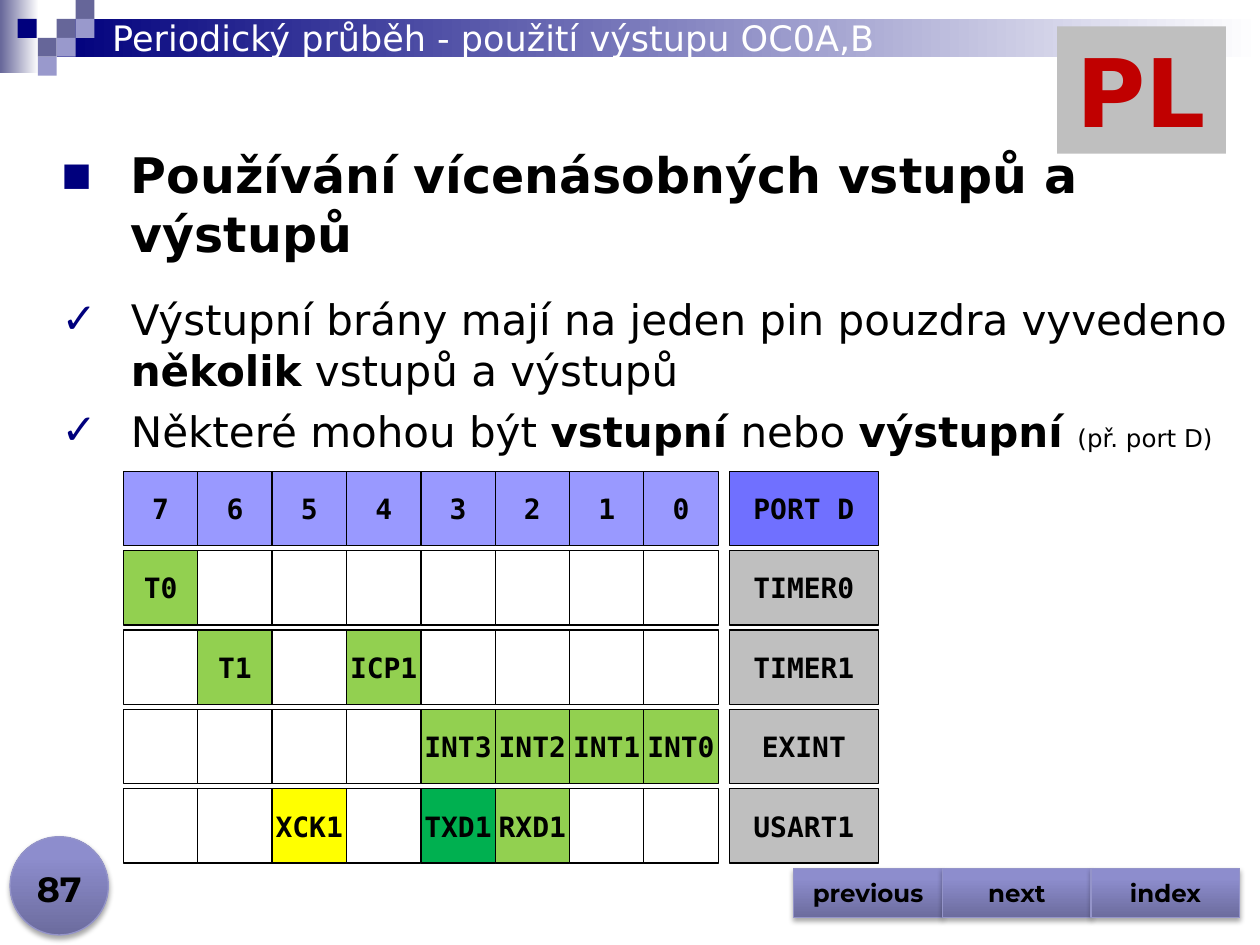
from pptx import Presentation
from pptx.dml.color import RGBColor
from pptx.enum.shapes import MSO_SHAPE
from pptx.enum.text import MSO_ANCHOR, MSO_AUTO_SIZE, PP_ALIGN
from pptx.oxml import parse_xml
from pptx.oxml.ns import nsdecls, qn
from pptx.util import Inches, Pt

SANS, MONO, ROUND = "DejaVu Sans", "DejaVu Sans Mono", "Montserrat"
NAVY, SLATE, LILAC = "00007D", "666699", "9999CC"
GREEN, GRAY = "92D050", "BFBFBF"
GLOSS = [(0, "6C6C9E"), (80, "8D8DCD"), (100, "8C8CCF")]


def rgb(value):
    """Turn a hex string into a colour."""
    return RGBColor.from_string(value)


class SlideBuilder:
    """Holds the style and the current slide."""

    def __init__(self, prs):
        """Add a title-only slide."""
        self.s = prs.slides.add_slide(prs.slide_layouts[5])

    def font(self, r, size, name, color="000000", bold=False):
        """Format one run."""
        r.font.size, r.font.name, r.font.bold = Pt(size), name, bold
        r.font.color.rgb = rgb(color)

    def label(self, sp, text, size, name, color="000000", bold=True,
              align=PP_ALIGN.CENTER, anchor=MSO_ANCHOR.MIDDLE, wrap=False):
        """Write one formatted line into a shape."""
        tf = sp.text_frame
        tf.text = text
        tf.word_wrap, tf.vertical_anchor = wrap, anchor
        tf.auto_size = MSO_AUTO_SIZE.NONE
        p = tf.paragraphs[0]
        p.alignment = align
        self.font(p.runs[0], size, name, color, bold)

    def title(self, text, x, y, w, h):
        """Place the title in front of the header band."""
        sp = self.s.shapes.title
        self.s.shapes._spTree.append(sp._element)
        sp.left, sp.top, sp.width, sp.height = map(Inches, (x, y, w, h))
        self.label(sp, text, 20, SANS, "FFFFFF", False, PP_ALIGN.LEFT, wrap=True)

    def shape(self, x, y, w, h, fill, line=None, kind=MSO_SHAPE.RECTANGLE):
        """Add a preset shape with a solid fill."""
        sp = self.s.shapes.add_shape(kind, *map(Inches, (x, y, w, h)))
        sp.shadow.inherit = False
        sp.fill.solid()
        sp.fill.fore_color.rgb = rgb(fill)
        if line:
            sp.line.color.rgb = rgb(line)
            sp.line.width = Pt(0.75)
        else:
            sp.line.fill.background()
        return sp

    def gradient(self, sp, stops, angle=0):
        """Give a shape a linear gradient."""
        sp.fill.gradient()
        sp.fill.gradient_angle = (360 - angle) % 360
        gs_lst = sp._element.spPr.find(".//" + qn("a:gsLst"))
        for gs in list(gs_lst):
            gs_lst.remove(gs)
        for pos, color in stops:
            gs_lst.append(parse_xml(
                f'<a:gs {nsdecls("a")} pos="{pos * 1000}">'
                f'<a:srgbClr val="{color}"/></a:gs>'))

    def glossy(self, x, y, w, h, kind):
        """Add a glossy shape with a soft shadow below."""
        sp = self.shape(x, y, w, h, LILAC, "9494C9", kind)
        self.gradient(sp, GLOSS, 270)
        sp._element.spPr.find(qn("a:effectLst")).append(parse_xml(
            f'<a:outerShdw {nsdecls("a")} blurRad="{Pt(3.1)}" dist="{Pt(1.8)}" '
            'dir="5400000" rotWithShape="0"><a:srgbClr val="000000">'
            '<a:alpha val="35000"/></a:srgbClr></a:outerShdw>'))
        return sp

    def cell(self, x, y, w, h, fill, text=""):
        """Add one outlined cell of the port map."""
        sp = self.shape(x, y, w, h, fill, "000000")
        if text:
            self.label(sp, text, 16, MONO)

    def text_box(self, x, y, w, h):
        """Add an empty wrapping text box."""
        sp = self.s.shapes.add_textbox(*map(Inches, (x, y, w, h)))
        sp.text_frame.word_wrap = True
        return sp

    def bullet(self, p, char, percent, after, runs):
        """Fill a hanging bullet paragraph with (text, size, bold) runs."""
        p.space_after = Pt(after)
        pPr = p._p.get_or_add_pPr()
        pPr.set("marL", str(Inches(0.55)))
        pPr.set("indent", str(-Inches(0.55)))
        for xml in (f'<a:buClr {nsdecls("a")}><a:srgbClr val="{NAVY}"/></a:buClr>',
                    f'<a:buSzPct {nsdecls("a")} val="{percent * 1000}"/>',
                    f'<a:buFont {nsdecls("a")} typeface="{SANS}"/>',
                    f'<a:buChar {nsdecls("a")} char="{char}"/>'):
            pPr.append(parse_xml(xml))
        for text, size, bold in runs:
            r = p.add_run()
            r.text = text
            self.font(r, size, SANS, bold=bold)


def main():
    """Build the slide."""
    prs = Presentation()
    prs.slide_width, prs.slide_height = Inches(10), Inches(7.5)
    b = SlideBuilder(prs)

    for box, color in (((0, 0, 0.31, 0.58), SLATE), ((0.45, 0.15, 9.55, 0.3), NAVY)):
        b.gradient(b.shape(*box, color), [(0, color), (100, "FFFFFF")])
    for x, y, color in ((0.45, 0.15, SLATE), (0.6, 0, SLATE), (0.6, 0.15, LILAC),
                        (0.3, 0.3, SLATE), (0.14, 0.15, NAVY), (0.45, 0.3, LILAC),
                        (0.3, 0.45, LILAC)):
        b.shape(x, y, 0.15, 0.15, color)

    bullets = (
        ("■", 65, 18, [("Používání vícenásobných vstupů a výstupů", 28, True)]),
        ("✓", 100, 6, [("Výstupní brány mají na jeden pin pouzdra vyvedeno ", 24, False),
                       ("několik", 24, True), (" vstupů a výstupů", 24, False)]),
        ("✓", 100, 6, [("Některé mohou být ", 24, False), ("vstupní", 24, True),
                       (" nebo ", 24, False), ("výstupní ", 24, True),
                       ("(př. port D)", 14, False)]),
    )
    tf = b.text_box(0.39, 1.1, 9.61, 2.59).text_frame
    for i, item in enumerate(bullets):
        b.bullet(tf.add_paragraph() if i else tf.paragraphs[0], *item)

    b.glossy(0.08, 6.64, 0.78, 0.78, MSO_SHAPE.OVAL)
    b.label(b.text_box(0, 6.77, 0.94, 0.5), "87", 20, ROUND,
            anchor=MSO_ANCHOR.BOTTOM, wrap=True)
    for i, text in enumerate(("previous", "next", "index")):
        sp = b.glossy(6.3 + i * 1.18, 6.89, 1.18, 0.39, MSO_SHAPE.ACTION_BUTTON_CUSTOM)
        b.label(sp, text, 14, ROUND)

    b.title("Periodický průběh - použití výstupu OC0A,B", 0.79, 0.08, 8.5, 0.44)

    side, pins = 0.59, range(7, -1, -1)
    rows = (
        ("PORT D", "7070FF", {pin: (str(pin), "9999FF") for pin in pins}),
        ("TIMER0", GRAY, {7: ("T0", GREEN)}),
        ("TIMER1", GRAY, {6: ("T1", GREEN), 4: ("ICP1", GREEN)}),
        ("EXINT", GRAY, {pin: (f"INT{pin}", GREEN) for pin in range(4)}),
        ("USART1", GRAY, {5: ("XCK1", "FFFF00"), 3: ("TXD1", "00B050"),
                          2: ("RXD1", GREEN)}),
    )
    for i, (name, color, signals) in enumerate(rows):
        y = 3.74 + i * 0.63
        for j, pin in enumerate(pins):
            text, fill = signals.get(pin, ("", "FFFFFF"))
            b.cell(0.98 + j * side, y, side, side, fill, text)
        b.cell(5.79, y, 2 * side, side, color, name)

    b.label(b.shape(8.39, 0.21, 1.34, 1.01, GRAY), "PL", 54, SANS, "C00000",
            anchor=MSO_ANCHOR.TOP)
    prs.save("out.pptx")


if __name__ == "__main__":
    main()
